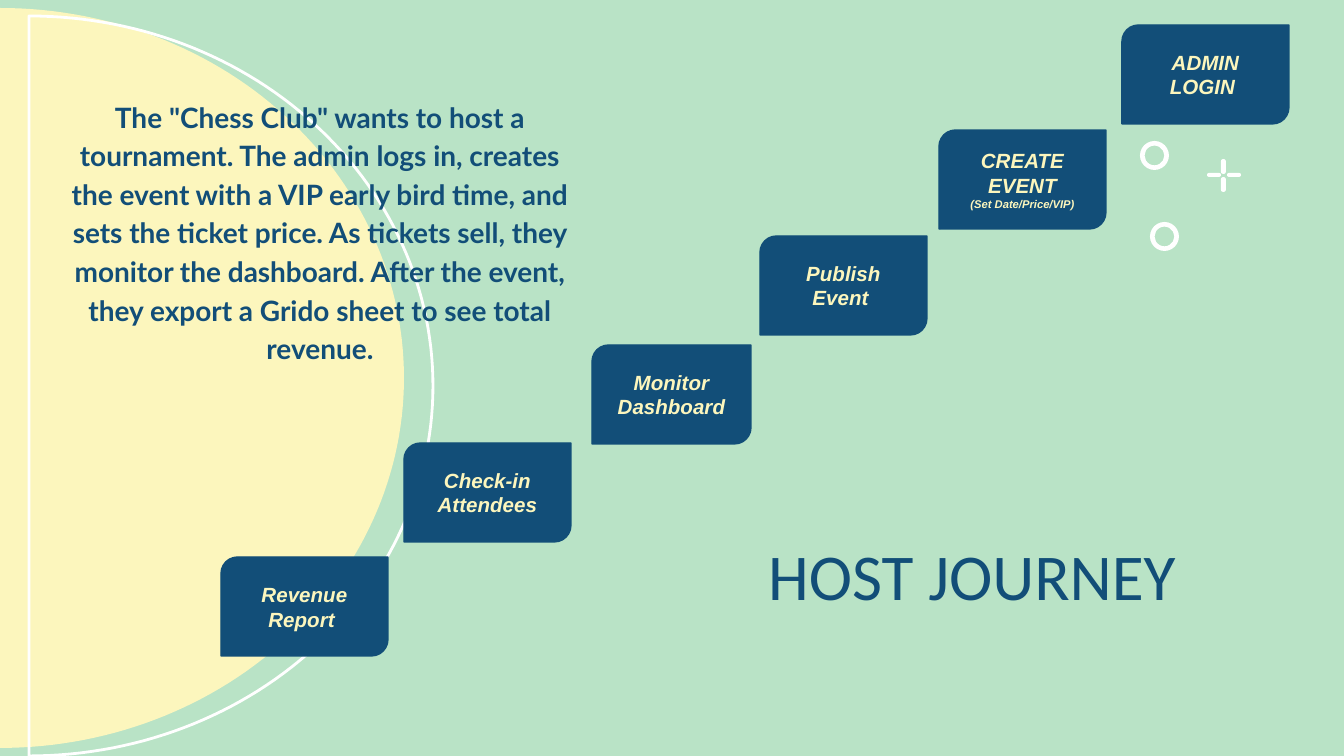
from dataclasses import dataclass
from math import cos, pi, sin

from pptx import Presentation
from pptx.dml.color import RGBColor
from pptx.enum.shapes import MSO_SHAPE
from pptx.enum.text import MSO_ANCHOR, PP_ALIGN
from pptx.util import Pt

EMU_PER_PX = 914400 / 134.4
MINT = RGBColor(0xB9, 0xE3, 0xC6)
CREAM = RGBColor(0xFC, 0xF6, 0xBD)
NAVY = RGBColor(0x12, 0x4E, 0x78)
WHITE = RGBColor(0xFF, 0xFF, 0xFF)
STEP_SHAPE = MSO_SHAPE.ROUND_2_DIAG_RECTANGLE
RING = MSO_SHAPE.DONUT
BAR = MSO_SHAPE.ROUNDED_RECTANGLE
CENTER = PP_ALIGN.CENTER
TOP, MIDDLE, BOTTOM = MSO_ANCHOR.TOP, MSO_ANCHOR.MIDDLE, MSO_ANCHOR.BOTTOM

STEP_FONT = {"name": "Arial", "size": Pt(11), "bold": True, "italic": True}
DETAIL_FONT = {**STEP_FONT, "size": Pt(6)}
TITLE_FONT = {"name": "Calibri", "size": Pt(35)}
STORY_FONT = {"name": "Lato", "size": Pt(15), "bold": True}


@dataclass(frozen=True)
class Box:
    left: int
    top: int
    width: int
    height: int

    def emu(self) -> list[int]:
        return [px(v) for v in (self.left, self.top, self.width, self.height)]


@dataclass(frozen=True)
class Step:
    label: str
    left: int
    top: int
    width: int = 167
    detail: str = ""


STEPS = [
    Step("ADMIN LOGIN ", 1122, 25),
    Step("CREATE EVENT", 939, 130, detail="(Set Date/Price/VIP)"),
    Step("Publish Event ", 760, 236),
    Step("Monitor Dashboard", 592, 345, width=159),
    Step("Check-in Attendees", 404, 443),
    Step("Revenue Report ", 221, 557),
]
STEP_HEIGHT = 99
STORY = (
    'The "Chess Club" wants to host a tournament. The admin logs in, creates '
    "the event with a VIP early bird time, and sets the ticket price. As "
    "tickets sell, they monitor the dashboard. After the event, they export "
    "an Grido sheet to see total revenue."
).replace("an Grido", "a Grido")


def px(value: float) -> int:
    return round(value * EMU_PER_PX)


def set_frame(frame, anchor, margin: int) -> None:
    settings = {"word_wrap": True, "vertical_anchor": anchor}
    for side in ("left", "top", "right", "bottom"):
        settings[f"margin_{side}"] = px(margin)
    for name, value in settings.items():
        setattr(frame, name, value)


def write(paragraph, text: str, font: dict, color: RGBColor) -> None:
    paragraph.alignment = CENTER
    run = paragraph.add_run()
    run.text = text
    for name, value in font.items():
        setattr(run.font, name, value)
    run.font.color.rgb = color


def half_disc(shapes, left: int, center_y: int):
    """Right half of an ellipse, closed by its vertical diameter."""
    radius_x, radius_y, segments = 404, 370, 120
    angles = [pi * i / segments - pi / 2 for i in range(segments + 1)]
    points = [
        (px(left + radius_x * cos(a)), px(center_y + radius_y * sin(a)))
        for a in angles
    ]
    builder = shapes.build_freeform(*points[0])
    builder.add_line_segments(points[1:], close=True)
    disc = builder.convert_to_shape()
    disc.shadow.inherit = False
    return disc


def add_ornament(shapes, kind, box: Box, adjustment: float) -> None:
    ornament = shapes.add_shape(kind, *box.emu())
    ornament.adjustments[0] = adjustment
    ornament.shadow.inherit = False
    ornament.fill.solid()
    ornament.fill.fore_color.rgb = WHITE
    ornament.line.fill.background()


def add_step(shapes, step: Step) -> None:
    box = Box(step.left, step.top, step.width, STEP_HEIGHT)
    card = shapes.add_shape(STEP_SHAPE, *box.emu())
    card.adjustments[0] = 0.167
    card.adjustments[1] = 0
    card.shadow.inherit = False
    card.fill.solid()
    card.fill.fore_color.rgb = NAVY
    card.line.color.rgb = NAVY
    card.line.width = Pt(0.75)
    frame = card.text_frame
    set_frame(frame, MIDDLE, 13)
    write(frame.paragraphs[0], step.label, STEP_FONT, CREAM)
    if step.detail:
        write(frame.add_paragraph(), step.detail, DETAIL_FONT, CREAM)


def add_text(shapes, box: Box, text: str, font: dict, anchor, margin: int):
    frame = shapes.add_textbox(*box.emu()).text_frame
    set_frame(frame, anchor, margin)
    paragraph = frame.paragraphs[0]
    write(paragraph, text, font, NAVY)
    return paragraph


def main() -> None:
    presentation = Presentation()
    presentation.slide_width = px(1344)
    presentation.slide_height = px(756)
    slide = presentation.slides.add_slide(presentation.slide_layouts[6])
    shapes = slide.shapes
    slide.background.fill.solid()
    slide.background.fill.fore_color.rgb = MINT

    # Half discs on the left
    sun = half_disc(shapes, 0, 378)
    sun.fill.solid()
    sun.fill.fore_color.rgb = CREAM
    sun.line.fill.background()
    outline = half_disc(shapes, 29, 386)
    outline.fill.background()
    outline.line.color.rgb = WHITE
    outline.line.width = Pt(1.5)

    # Rings and sparkle
    for left, top in ((1140, 141), (1150, 222)):
        add_ornament(shapes, RING, Box(left, top, 29, 29), 0.16)
    for top in (159, 177):
        add_ornament(shapes, BAR, Box(1221, top, 5, 15), 0.5)
    for left in (1207, 1227):
        add_ornament(shapes, BAR, Box(left, 173, 14, 4), 0.5)

    # Title, staircase of steps and story
    add_text(shapes, Box(677, 520, 605, 94), "HOST JOURNEY ", TITLE_FONT, BOTTOM, 0)
    for step in STEPS:
        add_step(shapes, step)
    story = add_text(shapes, Box(47, 82, 546, 339), STORY, STORY_FONT, TOP, 13)
    story.line_spacing = 1.15
    story.space_before = Pt(12)

    presentation.save("out.pptx")


if __name__ == "__main__":
    main()
